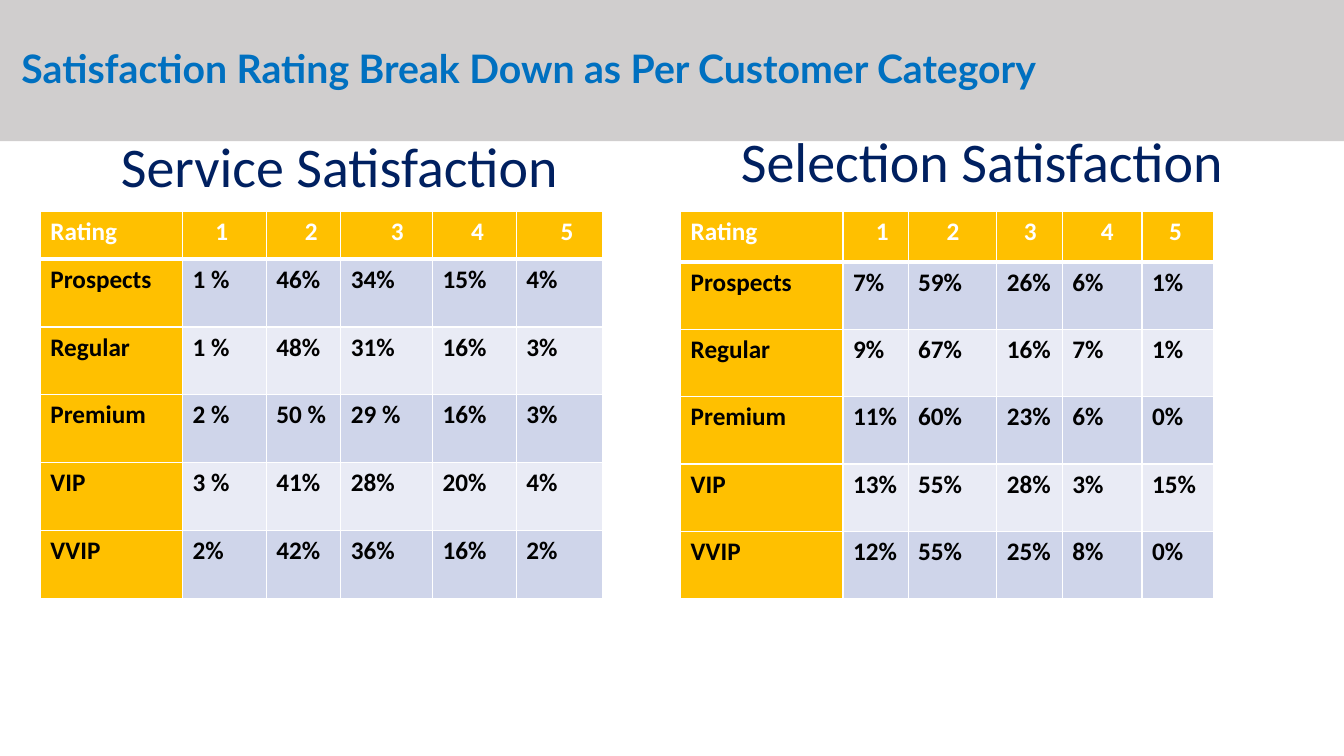
import pptx
import pptx.util
import pptx.dml.color
import pptx.enum.shapes
import pptx.enum.text
import pptx.oxml
import pptx.oxml.ns

RGB = pptx.dml.color.RGBColor
GREY = RGB(0xD0, 0xCE, 0xCE)
BLUE = RGB(0x00, 0x70, 0xC0)
NAVY = RGB(0x00, 0x20, 0x60)
GOLD = RGB(0xFF, 0xC0, 0x00)
DARK = RGB(0xCF, 0xD5, 0xEA)
PALE = RGB(0xE9, 0xEB, 0xF5)
WHITE = RGB(0xFF, 0xFF, 0xFF)
BLACK = RGB(0x00, 0x00, 0x00)

deck = pptx.Presentation()
deck.slide_width = pptx.util.Inches(13.33)
deck.slide_height = pptx.util.Inches(7.5)
slide = deck.slides.add_slide(deck.slide_layouts[6])
wide = deck.slide_width / 100
high = deck.slide_height / 100


def write(part, text, face, size, color, bold):
    part.text = text
    part.font.name = face
    part.font.size = pptx.util.Pt(size)
    part.font.color.rgb = color
    part.font.bold = bold


def edge(cell, side, width):
    line = pptx.oxml.parse_xml(
        f'<a:{side} {pptx.oxml.ns.nsdecls("a")} w="{width * 12700}"><a:solidFill>'
        f'<a:srgbClr val="{WHITE}"/></a:solidFill></a:{side}>')
    cell._tc.get_or_add_tcPr().append(line)


band = slide.shapes.add_shape(pptx.enum.shapes.MSO_SHAPE.RECTANGLE,
                              0, 0, deck.slide_width, int(18.67 * high))
band.shadow.inherit = False
band.fill.solid()
band.fill.fore_color.rgb = GREY
band.line.fill.background()
frame = band.text_frame
frame.word_wrap = True
frame.vertical_anchor = pptx.enum.text.MSO_ANCHOR.MIDDLE
frame.margin_left = int(1.6 * wide)
title = frame.paragraphs[0]
title.alignment = pptx.enum.text.PP_ALIGN.LEFT
title.line_spacing = 0.9
write(title, "Satisfaction Rating Break Down as Per Customer Category",
      "Lato", 28, BLUE, True)

names = ["Prospects", "Regular", "Premium", "VIP", "VVIP"]
panels = [
    ("Service Satisfaction", 9, 17.73, 3, 6.27,
     [10.58, 6.23, 5.55, 6.83, 6.23, 6.45], [4, 5, 7, 5, 6],
     [["1 %", "46%", "34%", "15%", "4%"],
      ["1 %", "48%", "31%", "16%", "3%"],
      ["2 %", "50 %", "29 %", "16%", "3%"],
      ["3 %", "41%", "28%", "20%", "4%"],
      ["2%", "42%", "36%", "16%", "2%"]]),
    ("Selection Satisfaction", 55.14, 17.07, 50.64, 6.67,
     [12.08, 4.85, 6.6, 4.88, 5.93, 5.33], [4, 5, 3, 5, 3],
     [["7%", "59%", "26%", "6%", "1%"],
      ["9%", "67%", "16%", "7%", "1%"],
      ["11%", "60%", "23%", "6%", "0%"],
      ["13%", "55%", "28%", "3%", "15%"],
      ["12%", "55%", "25%", "8%", "0%"]]),
]
step = pptx.util.Pt(4.07)
inset = pptx.util.Inches(0.1)
full = 51.2

for label, start, top, left, head, cols, shifts, rates in panels:
    box = slide.shapes.add_textbox(int(start * wide) - inset, int(top * high),
                                   int(40 * wide), int(10 * high))
    box.text_frame.word_wrap = True
    line = box.text_frame.paragraphs[0]
    line.line_spacing = 0.9
    line.space_before = pptx.util.Pt(10)
    write(line, label, "Calibri", 40, NAVY, False)

    rows = [["Rating", "1", "2", "3", "4", "5"]]
    rows += [[name] + rate for name, rate in zip(names, rates)]
    grid = slide.shapes.add_table(len(rows), len(cols), int(left * wide), int(28 * high),
                                  int(sum(cols) * wide), int(full * high)).table
    for col, share in zip(grid.columns, cols):
        col.width = int(share * wide)
    for r, row in enumerate(rows):
        share = (full - head) / len(names) if r else head
        grid.rows[r].height = int(share * high)
        for c, text in enumerate(row):
            cell = grid.cell(r, c)
            edge(cell, "lnL", 1)
            edge(cell, "lnR", 1)
            edge(cell, "lnT", 3 if r == 1 else 1)
            edge(cell, "lnB", 1 if r else 3)
            cell.fill.solid()
            cell.fill.fore_color.rgb = GOLD if r == 0 or c == 0 else DARK if r % 2 else PALE
            write(cell.text_frame.paragraphs[0], text, "Calibri", 18,
                  BLACK if r else WHITE, True)
            if r == 0 and c:
                cell.margin_left = inset + shifts[c - 1] * step

deck.save("out.pptx")
